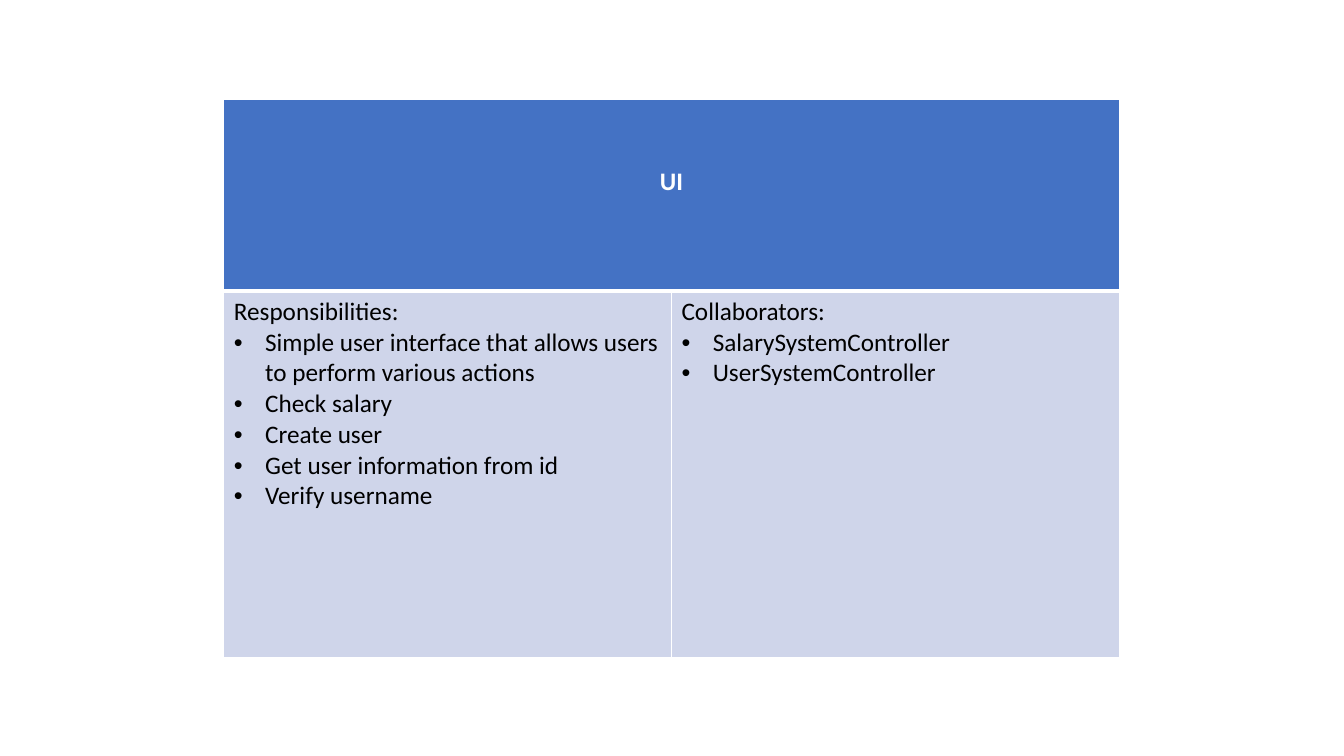
from lxml import etree
from pptx import Presentation
from pptx import util as u
from pptx.dml.color import RGBColor
from pptx.enum import text
from pptx.oxml import ns

COLORS = {"header": "4472C4", "body": "CFD5EA", "white": "FFFFFF", "black": "000000"}
BULLET_INDENT = u.Inches(0.31)


def style_cell(cell, fill, bottom_width=1):
    """Fill a cell and give it white borders."""
    cell.fill.solid()
    cell.fill.fore_color.rgb = RGBColor.from_string(COLORS[fill])
    tc_pr = cell._tc.get_or_add_tcPr()
    widths = {"lnL": 1, "lnR": 1, "lnT": 1, "lnB": bottom_width}
    for i, (side, width) in enumerate(widths.items()):
        ln = etree.Element(ns.qn(f"a:{side}"), w=str(u.Pt(width)))
        solid = etree.SubElement(ln, ns.qn("a:solidFill"))
        etree.SubElement(solid, ns.qn("a:srgbClr"), val=COLORS["white"])
        tc_pr.insert(i, ln)


def add_text(p, words, color, bold=False):
    """Add one formatted run to a paragraph."""
    r = p.add_run()
    r.text = words
    r.font.name = "Calibri"
    r.font.size = u.Pt(18)
    r.font.bold = bold
    r.font.color.rgb = RGBColor.from_string(COLORS[color])


prs = Presentation()
prs.slide_width, prs.slide_height = u.Inches(13.33), u.Inches(7.5)
s = prs.slides.add_slide(prs.slide_layouts[6])

# Class card: name on top, responsibilities and collaborators below
card = s.shapes.add_table(2, 2, u.Inches(2.22), u.Inches(0.99),
                          u.Inches(8.88), u.Inches(5.53)).table
card.rows[0].height, card.rows[1].height = u.Inches(1.9), u.Inches(3.63)

for cell in card.rows[0].cells:
    style_cell(cell, "header", bottom_width=3)
name_cell = card.cell(0, 0)
name_cell.merge(card.cell(0, 1))
name_cell.margin_top = u.Inches(0.66)
p = name_cell.text_frame.paragraphs[0]
p.alignment = text.PP_ALIGN.CENTER
add_text(p, "UI", "white", bold=True)

sections = {
    "Responsibilities:": [
        "Simple user interface that allows users to perform various actions",
        "Check salary",
        "Create user",
        "Get user information from id",
        "Verify username",
    ],
    "Collaborators:": ["SalarySystemController", "UserSystemController"],
}
for cell, (heading, items) in zip(card.rows[1].cells, sections.items()):
    style_cell(cell, "body")
    tf = cell.text_frame
    add_text(tf.paragraphs[0], heading, "black")
    for item in items:
        p = tf.add_paragraph()
        p_pr = p._p.get_or_add_pPr()
        p_pr.set("marL", str(BULLET_INDENT))
        p_pr.set("indent", str(-BULLET_INDENT))
        etree.SubElement(p_pr, ns.qn("a:buFont"), typeface="Arial")
        etree.SubElement(p_pr, ns.qn("a:buChar"), char="•")
        add_text(p, item, "black")

prs.save("out.pptx")
